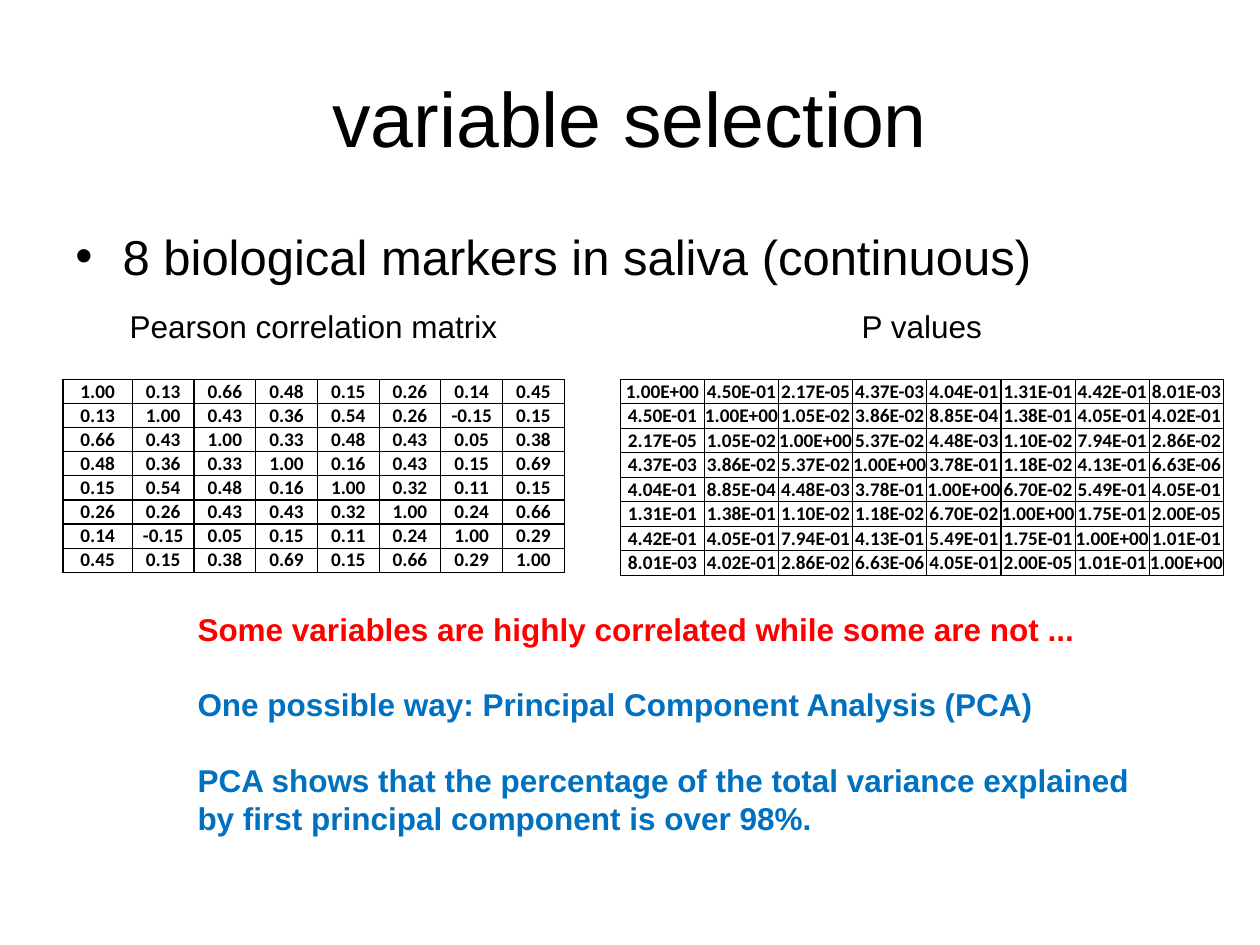
from dataclasses import dataclass

from lxml import etree
from pptx import Presentation
from pptx.dml.color import RGBColor
from pptx.enum import text
from pptx.oxml import ns
from pptx.util import Pt

BLACK = RGBColor(0x00, 0x00, 0x00)
RED = RGBColor(0xFF, 0x00, 0x00)
BLUE = RGBColor(0x00, 0x70, 0xC0)

TABLE_TOP = 216.8
LABEL_TOP = 172
LABEL_HEIGHT = 29
NOTE_GAP = 21.6

# Both matrices are symmetric, so only the lower triangles are listed.
CORRELATIONS = """
1.00
0.13 1.00
0.66 0.43 1.00
0.48 0.36 0.33 1.00
0.15 0.54 0.48 0.16 1.00
0.26 0.26 0.43 0.43 0.32 1.00
0.14 -0.15 0.05 0.15 0.11 0.24 1.00
0.45 0.15 0.38 0.69 0.15 0.66 0.29 1.00
"""
P_VALUES = """
1.00E+00
4.50E-01 1.00E+00
2.17E-05 1.05E-02 1.00E+00
4.37E-03 3.86E-02 5.37E-02 1.00E+00
4.04E-01 8.85E-04 4.48E-03 3.78E-01 1.00E+00
1.31E-01 1.38E-01 1.10E-02 1.18E-02 6.70E-02 1.00E+00
4.42E-01 4.05E-01 7.94E-01 4.13E-01 5.49E-01 1.75E-01 1.00E+00
8.01E-03 4.02E-01 2.86E-02 6.63E-06 4.05E-01 2.00E-05 1.01E-01 1.00E+00
"""


@dataclass
class Matrix:
    label: str
    label_left: float
    label_width: float
    left: float
    first_col: float
    other_col: float
    row_height: float
    triangle: str


MATRICES = [
    Matrix("Pearson correlation matrix", 67, 225, 36, 39.6, 35.28, 13.8, CORRELATIONS),
    Matrix("P values", 485.3, 84, 354.6, 47.9, 42.4, 14.03, P_VALUES),
]
NOTES = [
    ("Some variables are highly correlated while some are not ...", RED),
    ("One possible way: Principal Component Analysis (PCA)", BLUE),
    ("PCA shows that the percentage of the total variance explained "
     "by first principal component is over 98%.", BLUE),
]


def write(p, words: str, *, size: float = 18, font: str = "Arial",
          color: RGBColor = BLACK, bold: bool = False, align=None,
          before: float = 0) -> None:
    p.alignment = align
    p.space_before = Pt(before)
    r = p.add_run()
    r.text = words
    r.font.size, r.font.name, r.font.bold = Pt(size), font, bold
    r.font.color.rgb = color


def add_box(s, left: float, top: float, width: float, height: float, wrap: bool = True):
    """Add a text box; one that does not wrap grows with its text."""
    tf = s.shapes.add_textbox(Pt(left), Pt(top), Pt(width), Pt(height)).text_frame
    tf.word_wrap = wrap
    if not wrap:
        tf.auto_size = text.MSO_AUTO_SIZE.SHAPE_TO_FIT_TEXT
    return tf


def add_bullet(p, indent: float) -> None:
    pPr = p._p.get_or_add_pPr()
    pPr.set("marL", str(Pt(indent)))
    pPr.set("indent", str(Pt(-indent)))
    etree.SubElement(pPr, ns.qn("a:buFont"), typeface="Arial")
    etree.SubElement(pPr, ns.qn("a:buChar"), char="•")


def add_borders(cell, color: RGBColor, width: float) -> None:
    tcPr = cell._tc.get_or_add_tcPr()
    for i, side in enumerate(("lnL", "lnR", "lnT", "lnB")):
        ln = etree.Element(ns.qn(f"a:{side}"), w=str(Pt(width)))
        fill = etree.SubElement(ln, ns.qn("a:solidFill"))
        etree.SubElement(fill, ns.qn("a:srgbClr"), val=str(color))
        tcPr.insert(i, ln)


def add_matrix(s, m: Matrix) -> None:
    label = add_box(s, m.label_left, LABEL_TOP, m.label_width, LABEL_HEIGHT, wrap=False)
    write(label.paragraphs[0], m.label)

    rows = [line.split() for line in m.triangle.split("\n") if line]
    n = len(rows)
    table = s.shapes.add_table(
        n, n, Pt(m.left), Pt(TABLE_TOP),
        Pt(m.first_col + (n - 1) * m.other_col), Pt(n * m.row_height)).table
    table.first_row = table.horz_banding = False
    for i in range(n):
        table.columns[i].width = Pt(m.other_col if i else m.first_col)
        table.rows[i].height = Pt(m.row_height)
        for j in range(n):
            cell = table.cell(i, j)
            cell.margin_left = cell.margin_right = Pt(0)
            cell.margin_top = cell.margin_bottom = Pt(0)
            cell.vertical_anchor = text.MSO_ANCHOR.MIDDLE
            cell.fill.background()
            add_borders(cell, BLACK, 0.75)
            write(cell.text_frame.paragraphs[0], rows[max(i, j)][min(i, j)],
                  size=11, font="Calibri", bold=True, align=text.PP_ALIGN.CENTER)


def main() -> None:
    prs = Presentation()
    prs.slide_width, prs.slide_height = Pt(720), Pt(540)
    s = prs.slides.add_slide(prs.slide_layouts[6])

    title = add_box(s, 36, 21.6, 648, 90)
    title.vertical_anchor = text.MSO_ANCHOR.MIDDLE
    write(title.paragraphs[0], "variable selection", size=44, align=text.PP_ALIGN.CENTER)

    body = add_box(s, 36, 126, 648, 64.8)
    add_bullet(body.paragraphs[0], 27)
    write(body.paragraphs[0], "8 biological markers in saliva (continuous)", size=28)

    for m in MATRICES:
        add_matrix(s, m)

    notes = add_box(s, 105.8, 344.9, 553.7, 138.2)
    for i, (words, color) in enumerate(NOTES):
        p = notes.add_paragraph() if i else notes.paragraphs[0]
        write(p, words, color=color, bold=True, before=NOTE_GAP if i else 0)

    prs.save("out.pptx")


if __name__ == "__main__":
    main()
